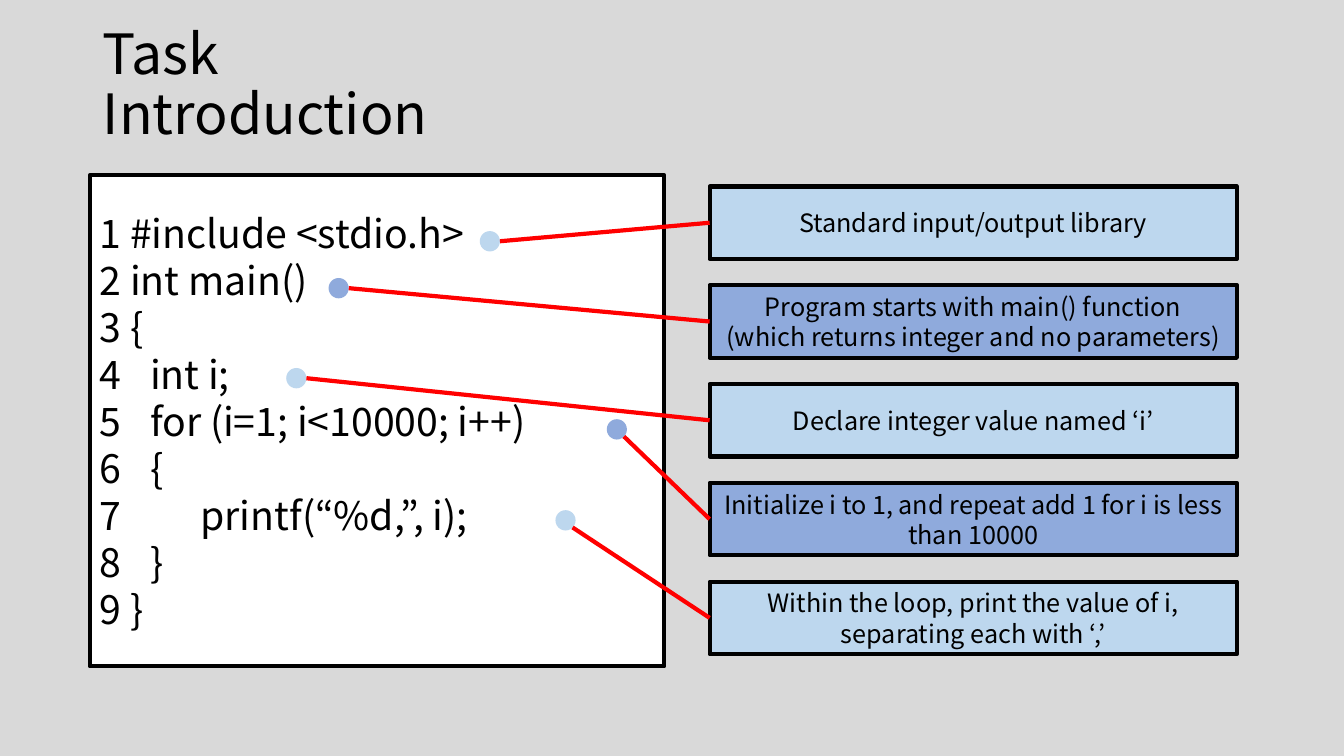
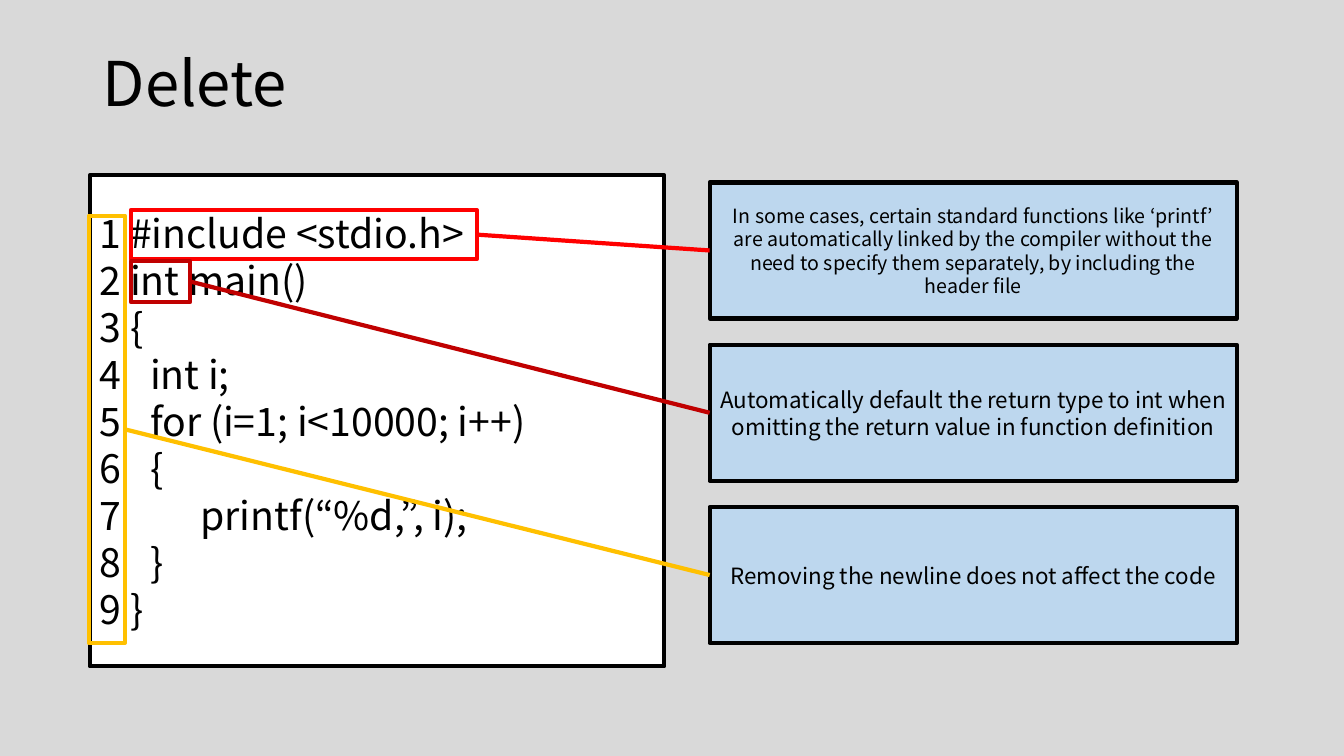
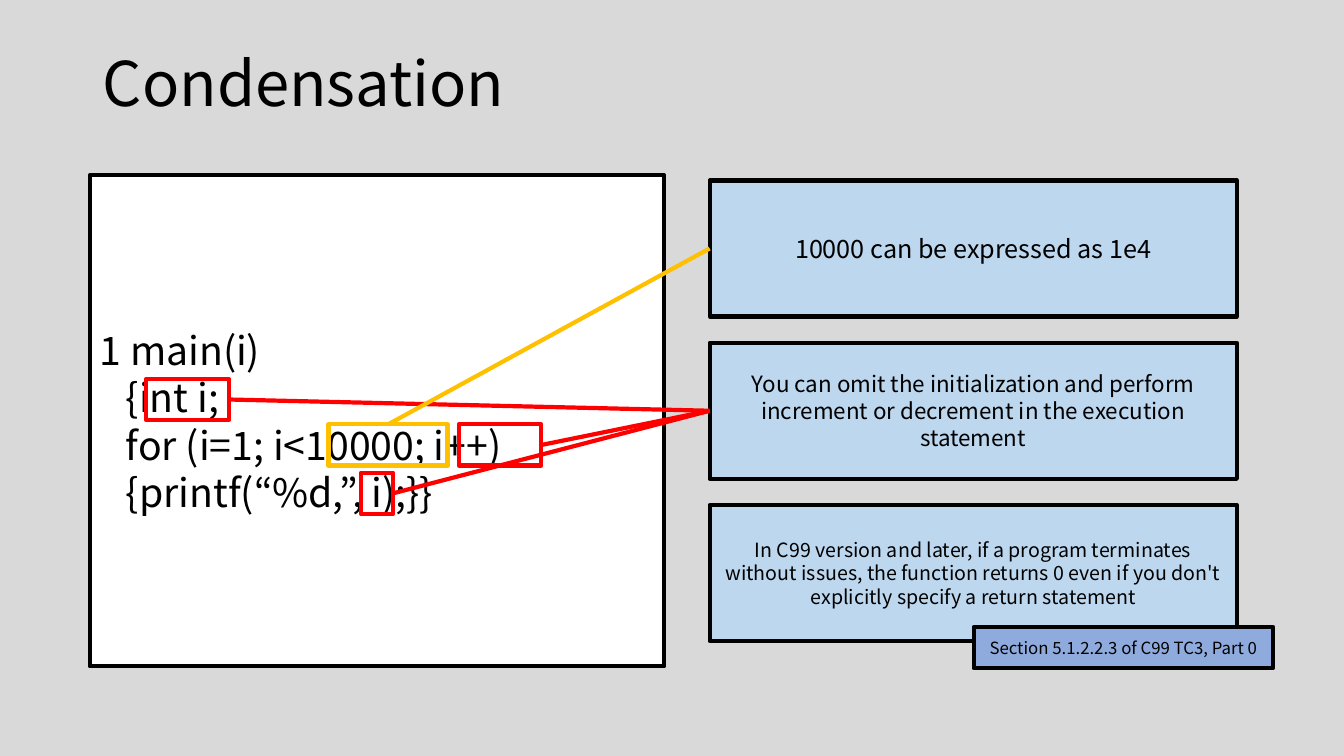
from dataclasses import dataclass

from lxml import etree
from pptx import Presentation
from pptx.dml.color import RGBColor
from pptx.enum.shapes import MSO_CONNECTOR as Connector, MSO_SHAPE as Preset
from pptx.enum.text import MSO_ANCHOR as Anchor, MSO_AUTO_SIZE as AutoSize, PP_ALIGN as Align
from pptx.oxml.ns import qn
from pptx.util import Inches, Pt

COLORS = {
    "ground": "D9D9D9", "ink": "000000", "paper": "FFFFFF", "sky": "BDD7EE",
    "blue": "8FAADC", "red": "FF0000", "crimson": "C00000", "amber": "FFC000",
}
FONT = "Noto Sans CJK KR"
SLIDE_W, SLIDE_H = Inches(13.333), Inches(7.5)
PERCENT = SLIDE_W / 100        # column unit
LINE = Inches(0.47)            # row unit: one line of the listing
STROKE = Pt(3)
TITLE = (Inches(0.92), Inches(0.4), Inches(4.69), Inches(0.92))
PANEL = (Inches(0.89), Inches(1.74), Inches(5.7), Inches(4.87))
REMARK_LEFT, REMARK_W, REMARK_GAP = Inches(7.04), Inches(5.23), Inches(0.26)
TITLE_ONLY = 5
RIGHT, TOP, LOWER_RIGHT = (1, 0.5), (0.5, 0), (0.85, 0.85)

LOOP_CODE = """1 #include <stdio.h>
2 int main()
3 {
4 \tint i;
5 \tfor (i=1; i<10000; i++)
6 \t{
7 \t\tprintf(“%d,”, i);
8 \t}
9 }"""
SHORT_CODE = """1 main(i)
   {int i;
   for (i=1; i<10000; i++)
   {printf(“%d,”, i);}}"""


@dataclass(frozen=True)
class Remark:
    text: str
    size: int
    fill: str = "sky"


@dataclass(frozen=True)
class Mark:
    """Frame or dot on the code; left and width in percent, line and lines in code lines."""
    remark: int
    left: float
    line: float
    width: float
    lines: float = 0.87
    color: str = "red"
    start: tuple[float, float] = RIGHT
    dot: bool = False


@dataclass(frozen=True)
class Page:
    title: str
    code: str
    remarks: list[Remark]
    first_top: float
    remark_height: float
    marks: list[Mark]
    title_size: float = 44
    source: str = ""


def dot(remark: int, left: float, line: float, start: tuple[float, float] = RIGHT) -> Mark:
    return Mark(remark, left, line, width=1.5, lines=0.43, start=start, dot=True)


PAGES = [
    Page(
        "Task Introduction", LOOP_CODE,
        [
            Remark("Standard input/output library", 18),
            Remark("Program starts with main() function\n"
                   "(which returns integer and no parameters)", 18, "blue"),
            Remark("Declare integer value named ‘i’", 18),
            Remark("Initialize i to 1, and repeat add 1 for i is less than 10000", 18, "blue"),
            Remark("Within the loop, print the value of i, separating each with ‘,’", 18),
        ],
        first_top=1.85, remark_height=0.72, title_size=39.6,
        marks=[
            dot(0, 35.7, 1.21), dot(1, 24.45, 2.2), dot(2, 21.3, 4.1),
            dot(3, 45.15, 5.18, LOWER_RIGHT), dot(4, 41.33, 7.1, LOWER_RIGHT),
        ],
    ),
    Page(
        "Delete", LOOP_CODE,
        [
            Remark("In some cases, certain standard functions like ‘printf’ are automatically "
                   "linked by the compiler without the need to specify them separately, "
                   "by including the header file", 14),
            Remark("Automatically default the return type to int when omitting "
                   "the return value in function definition", 16),
            Remark("Removing the newline does not affect the code", 16),
        ],
        first_top=1.81, remark_height=1.35,
        marks=[
            Mark(0, 9.75, 1.07, 25.73, lines=1.04),
            Mark(1, 9.75, 2.06, 4.4, color="crimson"),
            Mark(2, 6.6, 5.18, 2.7, lines=9.02, color="amber"),
        ],
    ),
    Page(
        "Condensation", SHORT_CODE,
        [
            Remark("10000 can be expressed as 1e4", 18),
            Remark("You can omit the initialization and perform increment or decrement "
                   "in the execution statement", 16),
            Remark("In C99 version and later, if a program terminates without issues, the function "
                   "returns 0 even if you don't explicitly specify a return statement", 14),
        ],
        first_top=1.79, remark_height=1.35,
        marks=[
            Mark(1, 10.88, 2.05, 6.15),
            Mark(0, 24.45, 3.01, 8.85, color="amber", start=TOP),
            Mark(1, 34.13, 3.01, 6.15),
            Mark(1, 26.85, 4.03, 2.4),
        ],
        source="Section 5.1.2.2.3 of C99 TC3, Part 0",
    ),
]


def rgb(name: str) -> RGBColor:
    return RGBColor.from_string(COLORS[name])


def write(shape, text: str, size: float, align=Align.CENTER, spacing: float = 1.0) -> None:
    frame = shape.text_frame
    frame.text = text
    frame_format = {"word_wrap": True, "auto_size": AutoSize.NONE, "vertical_anchor": Anchor.MIDDLE}
    for attribute, value in frame_format.items():
        setattr(frame, attribute, value)
    for paragraph in frame.paragraphs:
        paragraph.alignment = align
        paragraph.line_spacing = spacing
        for attribute, value in {"name": FONT, "size": Pt(size)}.items():
            setattr(paragraph.font, attribute, value)
        paragraph.font.color.rgb = rgb("ink")


def add_preset(slide, preset, box, fill: str = "", line: str = ""):
    shape = slide.shapes.add_shape(preset, *(round(length) for length in box))
    shape.shadow.inherit = False
    if fill:
        shape.fill.solid()
        shape.fill.fore_color.rgb = rgb(fill)
    else:
        shape.fill.background()
    if line:
        shape.line.color.rgb = rgb(line)
        shape.line.width = STROKE
    else:
        shape.line.fill.background()
    return shape


def add_text_box(slide, box, text: str, size: float, fill: str, align=Align.CENTER):
    shape = add_preset(slide, Preset.RECTANGLE, box, fill, "ink")
    write(shape, text, size, align)
    return shape


def add_mark(slide, mark: Mark, page: Page, remark_box) -> None:
    """Mark a piece of code and join it to the left side of its remark."""
    _, panel_top, _, panel_height = PANEL
    middle_line = (page.code.count("\n") + 2) / 2
    center = panel_top + panel_height / 2 + (mark.line - middle_line) * LINE
    width, height = mark.width * PERCENT, mark.lines * LINE
    left, top = mark.left * PERCENT, center - height / 2
    box = (left, top, width, height)
    if mark.dot:
        add_preset(slide, Preset.OVAL, box, fill=page.remarks[mark.remark].fill)
    else:
        add_preset(slide, Preset.RECTANGLE, box, line=mark.color)
    across, down = mark.start
    leader = slide.shapes.add_connector(
        Connector.STRAIGHT, round(left + across * width), round(top + down * height),
        remark_box.left, remark_box.top + remark_box.height // 2)
    leader.end_connect(remark_box, 1)
    leader.line.color.rgb = rgb(mark.color)
    leader.line.width = STROKE
    etree.SubElement(leader._element.spPr, qn("a:effectLst"))


def add_page(prs, page: Page) -> None:
    slide = prs.slides.add_slide(prs.slide_layouts[TITLE_ONLY])
    title = slide.shapes.title
    for attribute, value in zip(("left", "top", "width", "height"), TITLE):
        setattr(title, attribute, value)
    write(title, page.title, page.title_size, Align.LEFT, spacing=0.9)
    add_text_box(slide, PANEL, page.code, 28, "paper", Align.LEFT)

    top, height = Inches(page.first_top), Inches(page.remark_height)
    remark_boxes = [
        add_text_box(slide, (REMARK_LEFT, top + row * (height + REMARK_GAP), REMARK_W, height),
                     remark.text, remark.size, remark.fill)
        for row, remark in enumerate(page.remarks)
    ]
    for mark in page.marks:
        add_mark(slide, mark, page, remark_boxes[mark.remark])
    if page.source:
        source_box = (72.45 * PERCENT, Inches(6.22), 22.28 * PERCENT, 0.87 * LINE)
        add_text_box(slide, source_box, page.source, 12, "blue")


def main() -> None:
    prs = Presentation()
    prs.slide_width, prs.slide_height = SLIDE_W, SLIDE_H
    ground = prs.slide_master.background.fill
    ground.solid()
    ground.fore_color.rgb = rgb("ground")
    for page in PAGES:
        add_page(prs, page)
    prs.save("out.pptx")


if __name__ == "__main__":
    main()
